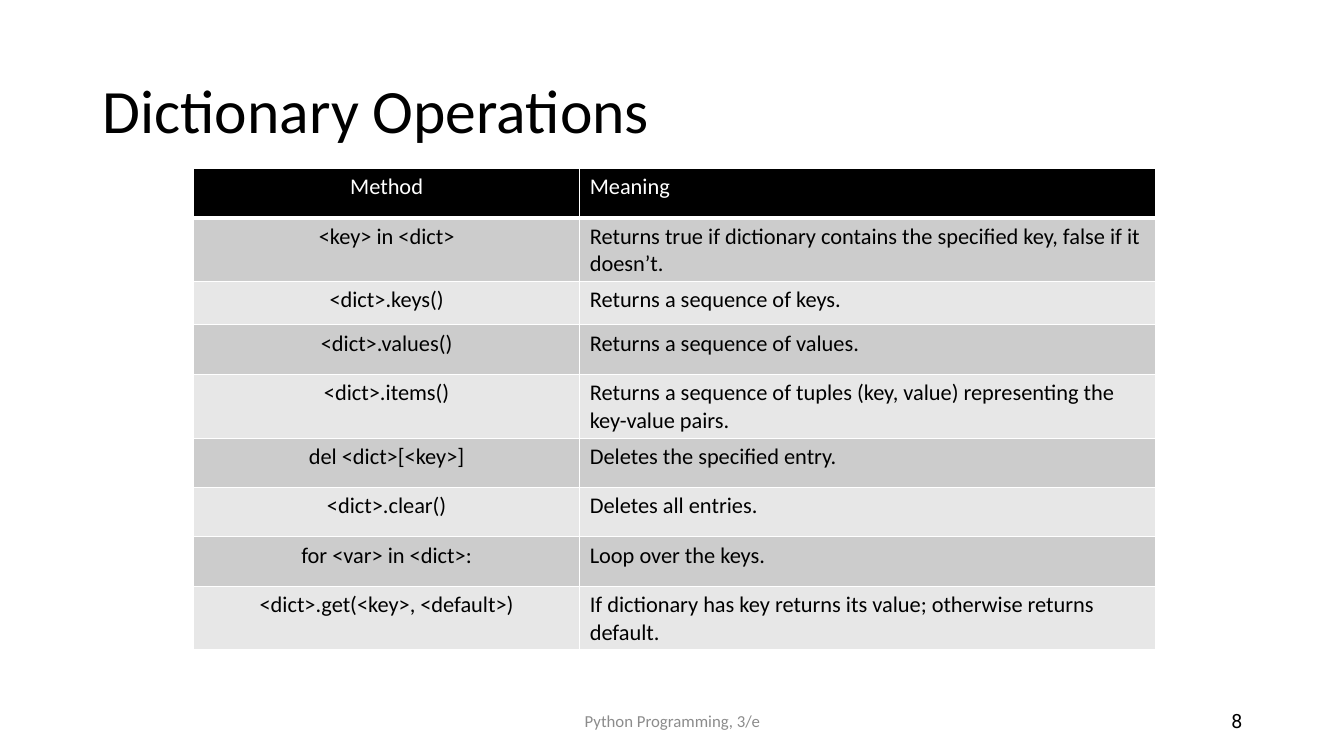
from pptx import Presentation
from pptx.dml.color import RGBColor
from pptx.enum.text import MSO_ANCHOR as ANCHOR, PP_ALIGN as ALIGN
from pptx.oxml import parse_xml
from pptx.oxml.ns import nsdecls
from pptx.util import Inches, Pt

BLACK = RGBColor(0x00, 0x00, 0x00)
WHITE = RGBColor(0xFF, 0xFF, 0xFF)
GRAY = RGBColor(0x8C, 0x8C, 0x8C)
DARK_BAND = RGBColor(0xCC, 0xCC, 0xCC)
LIGHT_BAND = RGBColor(0xE7, 0xE7, 0xE7)

OPERATIONS = [
    ("Method", "Meaning"),
    ("<key> in <dict>", "Returns true if dictionary contains the specified key, false if it doesn’t."),
    ("<dict>.keys()", "Returns a sequence of keys."),
    ("<dict>.values()", "Returns a sequence of values."),
    ("<dict>.items()", "Returns a sequence of tuples (key, value) representing the key-value pairs."),
    ("del <dict>[<key>]", "Deletes the specified entry."),
    ("<dict>.clear()", "Deletes all entries."),
    ("for <var> in <dict>:", "Loop over the keys."),
    ("<dict>.get(<key>, <default>)", "If dictionary has key returns its value; otherwise returns default."),
]


def write(tf, text, size, color, align, font="Calibri"):
    tf.text = text
    p = tf.paragraphs[0]
    p.alignment = align
    r = p.runs[0]
    r.font.size = Pt(size)
    r.font.name = font
    r.font.color.rgb = color
    return p


def add_text(slide, left, top, width, height, *style):
    sp = slide.shapes.add_textbox(Inches(left), Inches(top), Inches(width), Inches(height))
    tf = sp.text_frame
    tf.word_wrap = True
    tf.vertical_anchor = ANCHOR.MIDDLE
    return write(tf, *style)


prs = Presentation()
prs.slide_width, prs.slide_height = Inches(13.33), Inches(7.5)
slide = prs.slides.add_slide(prs.slide_layouts[6])

# Footer and slide number
add_text(slide, 4.42, 6.95, 4.5, 0.4, "Python Programming, 3/e", 12, GRAY, ALIGN.CENTER)
add_text(slide, 9.42, 6.95, 3, 0.4, "8", 14, BLACK, ALIGN.RIGHT, "Roboto")

# Title
p = add_text(slide, 0.92, 0.4, 11.5, 1.45, "Dictionary Operations", 44, BLACK, ALIGN.LEFT)
p.line_spacing = 0.9

# Table of operations
table = slide.shapes.add_table(len(OPERATIONS), 2, Inches(1.92), Inches(1.67),
                               Inches(9.54), Inches(4.35)).table
for column, width in zip(table.columns, (3.83, 5.71)):
    column.width = Inches(width)

for i, texts in enumerate(OPERATIONS):
    header = i == 0
    table.rows[i].height = Inches(0.43 if i == 2 else 0.49)
    band = BLACK if header else DARK_BAND if i % 2 else LIGHT_BAND
    for j, text in enumerate(texts):
        cell = table.cell(i, j)
        write(cell.text_frame, text, 16, WHITE if header else BLACK,
              ALIGN.LEFT if j else ALIGN.CENTER)
        # White cell borders, thicker below the header
        tc_pr = cell._tc.get_or_add_tcPr()
        for side in "LRTB":
            width = Pt(3 if header and side == "B" else 1)
            tc_pr.append(parse_xml(
                f'<a:ln{side} {nsdecls("a")} w="{width}"><a:solidFill>'
                f'<a:srgbClr val="{WHITE}"/></a:solidFill></a:ln{side}>'))
        cell.fill.solid()
        cell.fill.fore_color.rgb = band

prs.save("out.pptx")
